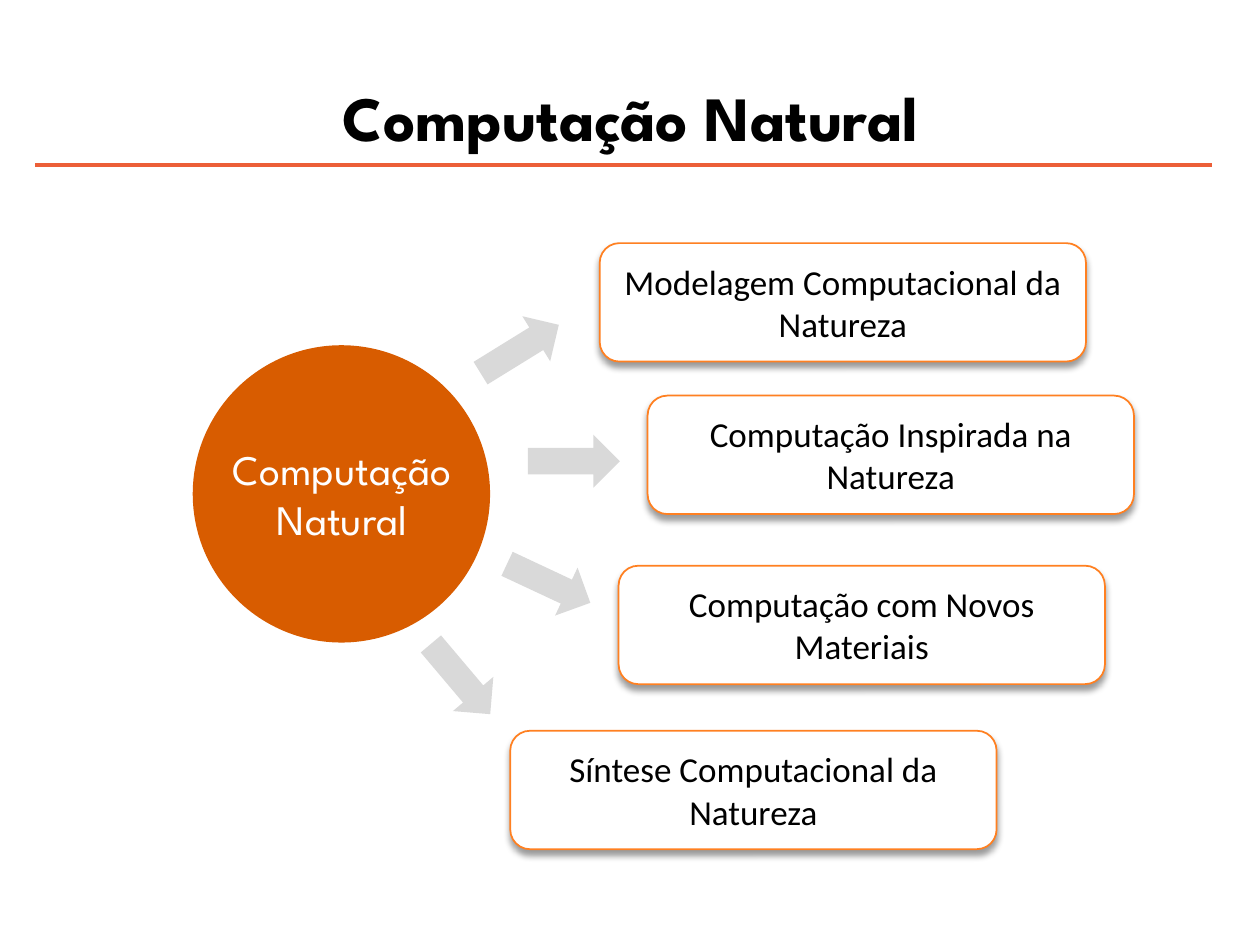
from dataclasses import dataclass

from lxml import etree
from pptx import Presentation
from pptx.dml.color import RGBColor
from pptx.enum.shapes import MSO_CONNECTOR, MSO_SHAPE
from pptx.enum.text import MSO_ANCHOR, MSO_AUTO_SIZE, PP_ALIGN
from pptx.oxml import parse_xml
from pptx.oxml.ns import nsdecls, qn
from pptx.util import Inches, Pt

CENTER = PP_ALIGN.CENTER
MIDDLE, BOTTOM = MSO_ANCHOR.MIDDLE, MSO_ANCHOR.BOTTOM
ELLIPSE, ARROW = MSO_SHAPE.OVAL, MSO_SHAPE.RIGHT_ARROW
ROUNDED = MSO_SHAPE.ROUNDED_RECTANGLE

WHITE, BLACK, GREY = "FFFFFF", "000000", "D9D9D9"
RULE_RED, DARK_ORANGE, ORANGE = "EC5F38", "D85C00", "FF8021"

TITLE_FONT = {"name": "League Spartan", "size": Pt(36), "bold": True}
HUB_FONT = {"name": "League Spartan", "size": Pt(24), "bold": False}
BRANCH_FONT = {"name": "Calibri", "size": Pt(20), "bold": False}

BOX_SIZE = (3.86, 0.94)
ARROW_SIZE = (0.73, 0.42)


@dataclass(frozen=True)
class Branch:
    label: str
    box_at: tuple[float, float]
    arrow_at: tuple[float, float]
    arrow_rotation: float


BRANCHES = [
    Branch("Modelagem Computacional da Natureza", (4.76, 1.93), (3.76, 2.56), 328.3),
    Branch("Computação Inspirada na Natureza", (5.14, 3.14), (4.19, 3.45), 0),
    Branch("Computação com Novos Materiais", (4.91, 4.49), (3.99, 4.42), 25.1),
    Branch("Síntese Computacional da Natureza", (4.05, 5.8), (3.29, 5.18), 49.8),
]


def color(hex_string: str) -> RGBColor:
    return RGBColor.from_string(hex_string)


def write(text_frame, lines: list[str], font_values: dict, font_color: str) -> None:
    """Fill a text frame with centred paragraphs of one format."""
    text_frame.word_wrap = True
    text_frame.text = "\n".join(lines)
    for paragraph in text_frame.paragraphs:
        paragraph.alignment = CENTER
        for name, value in font_values.items():
            setattr(paragraph.font, name, value)
        paragraph.font.color.rgb = color(font_color)


def add_plain_shape(slide, kind, at: tuple, size: tuple, fill: str):
    """Add a filled shape without outline or shadow."""
    shape = slide.shapes.add_shape(kind, *map(Inches, at + size))
    shape.shadow.inherit = False
    shape.fill.solid()
    shape.fill.fore_color.rgb = color(fill)
    shape.line.fill.background()
    return shape


def add_drop_shadow(shape) -> None:
    effects = shape._element.spPr.find(qn("a:effectLst"))
    effects.append(parse_xml(
        f'<a:outerShdw {nsdecls("a")} blurRad="{Pt(4)}" dist="{Pt(3)}" '
        f'dir="5400000" rotWithShape="0"><a:srgbClr val="{BLACK}">'
        '<a:alpha val="40000"/></a:srgbClr></a:outerShdw>'
    ))


def add_title(slide, text: str) -> None:
    title = slide.shapes.title
    title.left, title.top, title.width, title.height = map(
        Inches, (0.28, 0.29, 9.45, 1.03))
    frame = title.text_frame
    frame.auto_size = MSO_AUTO_SIZE.NONE
    frame.vertical_anchor = BOTTOM
    frame.margin_bottom = Inches(0.1)
    write(frame, [text], TITLE_FONT, BLACK)


def add_title_rule(slide) -> None:
    rule = slide.shapes.add_connector(
        MSO_CONNECTOR.STRAIGHT, *map(Inches, (0.28, 1.31, 9.62, 1.31)))
    rule.line.color.rgb = color(RULE_RED)
    rule.line.width = Pt(2.25)
    etree.SubElement(rule._element.spPr, qn("a:effectLst"))


def add_hub(slide, lines: list[str]) -> None:
    add_plain_shape(slide, ELLIPSE, (1.53, 2.74), (2.36, 2.36), DARK_ORANGE)
    label = slide.shapes.add_textbox(*map(Inches, (1.57, 3.47, 2.29, 0.91)))
    write(label.text_frame, lines, HUB_FONT, WHITE)
    label.text_frame.auto_size = MSO_AUTO_SIZE.SHAPE_TO_FIT_TEXT


def add_branch(slide, branch: Branch) -> None:
    box = add_plain_shape(slide, ROUNDED, branch.box_at, BOX_SIZE, WHITE)
    box.line.color.rgb = color(ORANGE)
    box.line.width = Pt(1)
    add_drop_shadow(box)
    box.text_frame.vertical_anchor = MIDDLE
    write(box.text_frame, [branch.label], BRANCH_FONT, BLACK)
    arrow = add_plain_shape(slide, ARROW, branch.arrow_at, ARROW_SIZE, GREY)
    arrow.rotation = branch.arrow_rotation


def main() -> None:
    presentation = Presentation()
    presentation.slide_width, presentation.slide_height = Inches(10), Inches(7.5)
    slide = presentation.slides.add_slide(presentation.slide_layouts[5])
    slide.background.fill.solid()
    slide.background.fill.fore_color.rgb = color(WHITE)
    add_title_rule(slide)
    add_title(slide, "Computação Natural")
    add_hub(slide, ["Computação", "Natural"])
    for branch in BRANCHES:
        add_branch(slide, branch)
    presentation.save("out.pptx")


if __name__ == "__main__":
    main()
